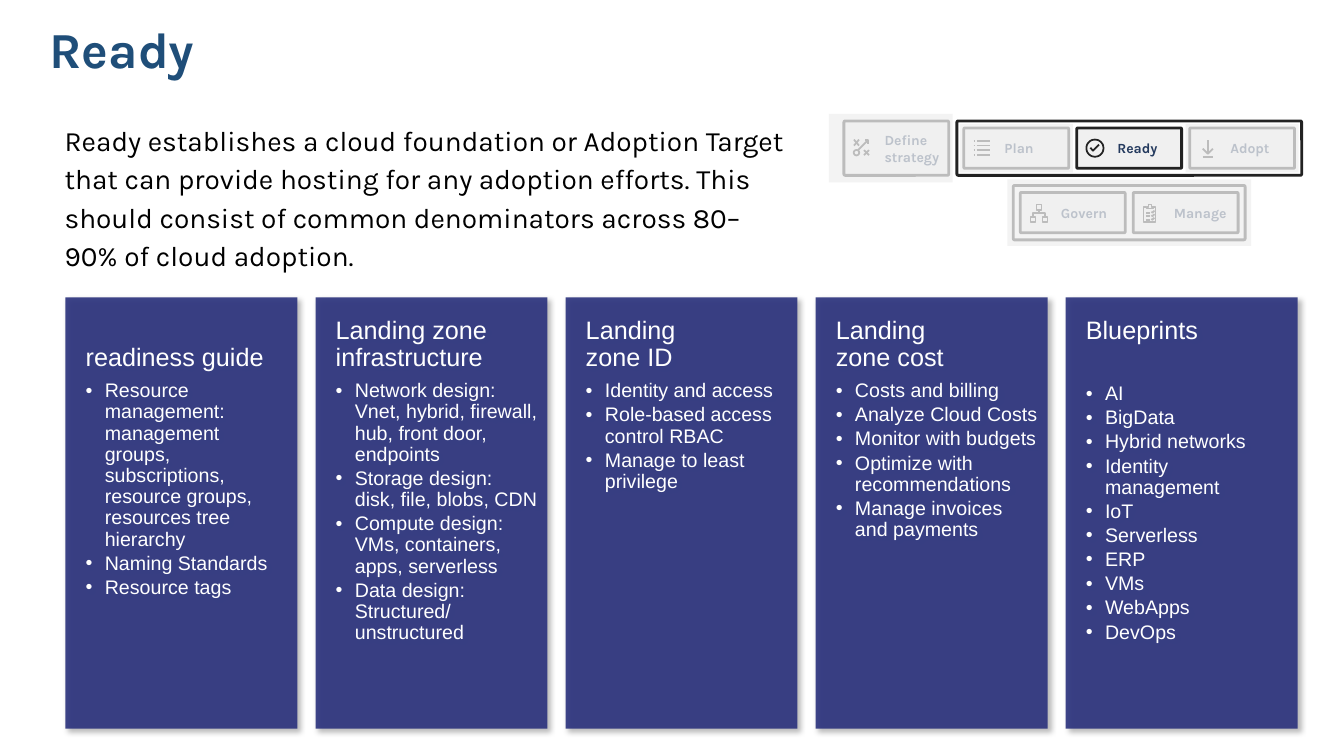
from math import cos, pi, sin

from lxml import etree
from pptx import Presentation
from pptx import util as u
from pptx.dml import color
from pptx.enum import shapes, text
from pptx.oxml import ns

INK, PANEL, NAVY, WHITE = "222222", "F0F0F0", "2A317D", "FFFFFF"
TILE_W, TILE_H, GAP, PAD = 1.04, 0.4, 0.08, 0.07

CARDS = [
    ("\nreadiness guide", [
        "Resource management:\nmanagement groups, subscriptions, resource groups, resources tree hierarchy",
        "Naming Standards", "Resource tags"]),
    ("Landing zone infrastructure", [
        "Network design: Vnet, hybrid, firewall, hub, front door, endpoints",
        "Storage design: disk, file, blobs, CDN",
        "Compute design: VMs, containers, apps, serverless",
        "Data design: Structured/ unstructured"]),
    ("Landing\nzone ID", [
        "Identity and access", "Role-based access control RBAC", "Manage to least privilege"]),
    ("Landing\nzone cost", [
        "Costs and billing", "Analyze Cloud Costs", "Monitor with budgets",
        "Optimize with recommendations", "Manage invoices\nand payments"]),
    ("Blueprints\n", [
        "AI", "BigData", "Hybrid networks", "Identity management", "IoT",
        "Serverless", "ERP", "VMs", "WebApps", "DevOps"]),
]


def ring(x, y, radius):
    """Return a circle as a closed stroke."""
    return [(x + radius * cos(i * pi / 16), y + radius * sin(i * pi / 16)) for i in range(33)]


def square(x, y, side=5):
    """Return a square as a closed stroke."""
    return [(x, y), (x + side, y), (x + side, y + side), (x, y + side), (x, y)]


ICONS = {
    "Define strategy\u00a0": [
        [(0, 0.5), (5, 6.5)], [(5, 0.5), (0, 6.5)], [(10, 11), (15, 16)], [(15, 11), (10, 16)],
        ring(2.5, 13.5, 2.7), [(4, 11), (14, 1)], [(14, 4.5), (14, 1), (11, 1)]],
    "Plan": [[(x, y), (end, y)] for y in (2, 6.5, 11, 15.5) for x, end in ((0, 1), (3, 16))],
    "Ready": [ring(8, 9, 8.5), [(3.5, 8.5), (6, 11.5), (12, 5.5)]],
    "Adopt": [[(13, 9.5), (8, 14.5), (3, 9.5)], [(8, 14.5), (8, 0.5)], [(3, 17.5), (13, 17.5)]],
    "Govern": [
        square(0, 13), square(12, 13), square(6, 1), [(8.5, 6), (8.5, 9)],
        [(14.5, 13), (14.5, 9), (2.5, 9), (2.5, 13)]],
    "Manage": [
        [(3, 3), (0, 3), (0, 18), (12, 18), (12, 3), (10, 3)],
        [(3, 3), (5, 3), (5, 1), (8, 1), (8, 3), (10, 3), (10, 5), (3, 5), (3, 3)],
        *[[(3, y), (7, y)] for y in (9, 12.5, 16)],
        *[[(8, y - 1), (9, y), (11, y - 2)] for y in (9, 12.5, 16)]],
}


def rgb(value):
    """Turn a hex string into a colour."""
    return color.RGBColor.from_string(value)


def style_font(para, name, size, tint, bold=False):
    """Set the font of a whole paragraph."""
    font = para.font
    font.name, font.size, font.bold = name, u.Pt(size), bold
    font.color.rgb = rgb(tint)


def set_margins(frame, *margins):
    """Set left, top, right and bottom margins and wrap the text."""
    frame.margin_left, frame.margin_top, frame.margin_right, frame.margin_bottom = map(u.Inches, margins)
    frame.word_wrap = True


def paint(shape, fill=None, line=None, width=2, opacity=100):
    """Give a shape its fill, outline and opacity, without a shadow."""
    shape.shadow.inherit = False
    if fill:
        shape.fill.solid()
        shape.fill.fore_color.rgb = rgb(fill)
        if opacity < 100:
            tint = shape.element.spPr.find(ns.qn("a:solidFill"))[0]
            etree.SubElement(tint, ns.qn("a:alpha"), val=str(opacity * 1000))
    else:
        shape.fill.background()
    if line:
        shape.line.color.rgb = rgb(line)
        shape.line.width = u.Pt(width)
    else:
        shape.line.fill.background()


def add_panel(page, box, rounded=False, **look):
    """Add a painted rectangle in the given box."""
    kind = shapes.MSO_SHAPE.ROUNDED_RECTANGLE if rounded else shapes.MSO_SHAPE.RECTANGLE
    panel = page.shapes.add_shape(kind, *map(u.Inches, box))
    if rounded:
        panel.adjustments[0] = 0.025
    paint(panel, **look)
    return panel


def add_veil(page, box, pad):
    """Fade a box and a margin around it."""
    left, top, width, height = box
    add_panel(page, (left - pad, top - pad, width + 2 * pad, height + 2 * pad), fill=PANEL, opacity=75)


def add_icon(page, left, top, strokes):
    """Draw strokes given in hundredths of an inch."""
    builder = page.shapes.build_freeform(scale=u.Inches(1) / 1000)
    for stroke in strokes:
        points = [(x * 10, y * 10) for x, y in stroke]
        builder.move_to(*points[0])
        builder.add_line_segments(points[1:], close=False)
    paint(builder.convert_to_shape(u.Inches(left), u.Inches(top)), line=INK, width=1.25)


def add_stage(page, box, name):
    """Add a stage tile with its icon and label."""
    left, top, _, height = box
    tile = add_panel(page, box, rounded=True, fill=PANEL, line=INK)
    frame = tile.text_frame
    set_margins(frame, 0.4, 0, 0, 0)
    frame.vertical_anchor = text.MSO_ANCHOR.MIDDLE
    para = frame.paragraphs[0]
    para.text, para.alignment = name, text.PP_ALIGN.LEFT
    style_font(para, "Karla", 10, "243A5E", True)
    add_icon(page, left + 0.1, top + height / 2 - 0.09, ICONS[name])


def add_stage_row(page, left, top, names):
    """Frame a row of stage tiles; return the frame and tile boxes."""
    step = TILE_W + GAP
    frame = (left, top, len(names) * step - GAP + 2 * PAD, TILE_H + 2 * PAD)
    add_panel(page, frame, rounded=True, line=INK)
    tiles = [(left + PAD + i * step, top + PAD, TILE_W, TILE_H) for i in range(len(names))]
    for box, name in zip(tiles, names):
        add_stage(page, box, name)
    return frame, tiles


def add_roadmap(page, left, top):
    """Draw the stages with all but the current one faded."""
    define = (left, top, TILE_W, TILE_H + 2 * PAD)
    add_stage(page, define, "Define strategy\u00a0")
    _, (plan, _, adopt) = add_stage_row(page, left + 1.12, top, ["Plan", "Ready", "Adopt"])
    lower, _ = add_stage_row(page, left + 1.68, top + 0.64, ["Govern", "Manage"])
    add_veil(page, adopt, 0.04)
    add_veil(page, lower, 0.06)
    add_veil(page, (left - 0.08, top, TILE_W + 0.05, define[3]), 0.07)
    add_veil(page, plan, 0.04)


def add_card(page, box, heading, items):
    """Add a shadowed card with a heading and a bulleted list."""
    card = add_panel(page, box, fill=NAVY, opacity=90)
    effects = card.element.spPr.find(ns.qn("a:effectLst"))
    shadow = etree.SubElement(effects, ns.qn("a:outerShdw"), blurRad=str(u.Pt(4)), dist=str(u.Pt(3)),
                              dir="2700000", algn="tl", rotWithShape="0")
    tint = etree.SubElement(shadow, ns.qn("a:srgbClr"), val="000000")
    etree.SubElement(tint, ns.qn("a:alpha"), val="30000")
    frame = card.text_frame
    set_margins(frame, 0.2, 0.2, 0.1, 0)
    frame.vertical_anchor = text.MSO_ANCHOR.TOP
    for i, line in enumerate([heading, *items]):
        para = frame.add_paragraph() if i else frame.paragraphs[0]
        para.text, para.alignment, para.line_spacing = line, text.PP_ALIGN.LEFT, 0.9
        para.space_after = u.Pt(2.1 if i else 6.3)
        if i:
            props = para._p.get_or_add_pPr()
            props.set("marL", str(u.Inches(0.19)))
            props.set("indent", str(u.Inches(-0.19)))
            etree.SubElement(props, ns.qn("a:buFont"), typeface="Arial")
            etree.SubElement(props, ns.qn("a:buChar"), char="•")
        style_font(para, "Arial", 14 if i else 18, WHITE)


def add_title(page, box, words):
    """Place and format the title placeholder."""
    title = page.shapes.title
    title.left, title.top, title.width, title.height = map(u.Inches, box)
    frame = title.text_frame
    frame.vertical_anchor = text.MSO_ANCHOR.MIDDLE
    frame.auto_size = text.MSO_AUTO_SIZE.NONE
    para = frame.paragraphs[0]
    para.text, para.alignment, para.line_spacing = words, text.PP_ALIGN.LEFT, 0.9
    style_font(para, "Karla", 36, "1F4E79", True)


def add_summary(page, box, words):
    """Add the introductory paragraph."""
    frame = page.shapes.add_textbox(*map(u.Inches, box)).text_frame
    set_margins(frame, 0, 0.05, 0.1, 0.05)
    para = frame.paragraphs[0]
    para.text, para.line_spacing = words, 1.14
    style_font(para, "Karla", 20, "000000")


def main():
    """Build the slide and save it."""
    deck = Presentation()
    deck.slide_width, deck.slide_height = u.Inches(13.33), u.Inches(7.5)
    page = deck.slides.add_slide(deck.slide_layouts.get_by_name("Title Only"))
    add_title(page, (0.39, 0.15, 12.4, 0.74), "Ready")
    for column, (heading, items) in enumerate(CARDS):
        add_card(page, (0.65 + column * 2.48, 2.95, 2.3, 4.28), heading, items)
    add_summary(page, (0.64, 1.13, 7.29, 1.64),
                "Ready establishes a cloud foundation or Adoption Target that can provide hosting for any "
                "adoption efforts. This should consist of common denominators across 80–90% of cloud adoption.")
    add_roadmap(page, 8.37, 1.2)
    deck.save("out.pptx")


if __name__ == "__main__":
    main()
